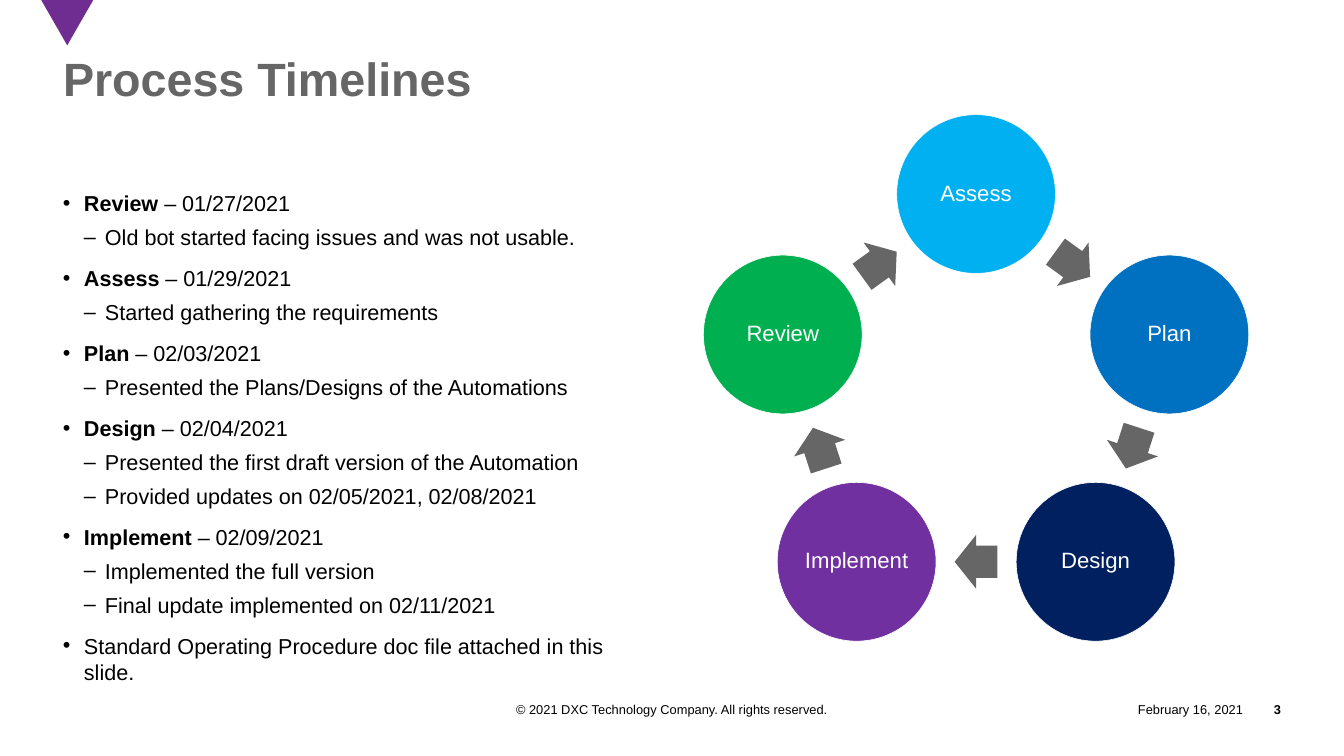
from math import cos, radians, sin

from lxml.etree import SubElement
from pptx import Presentation
from pptx.dml.color import RGBColor
from pptx.enum.shapes import MSO_SHAPE
from pptx.enum.text import MSO_ANCHOR, PP_ALIGN
from pptx.oxml.ns import qn
from pptx.util import Inches, Pt

FONT = "Arial"
CENTER_X, CENTER_Y, RADIUS = 11.62, 4.73, 2.42
CIRCLE, ARROW_W, ARROW_H = 1.89, 0.51, 0.64

STAGES = [
    ("Assess", "00B0F0"),
    ("Plan", "0070C0"),
    ("Design", "002060"),
    ("Implement", "7030A0"),
    ("Review", "00B050"),
]

TIMELINE = [
    ("Review", " – 01/27/2021", ["Old bot started facing issues and was not usable."]),
    ("Assess", " – 01/29/2021", ["Started gathering the requirements"]),
    ("Plan", " – 02/03/2021", ["Presented the Plans/Designs of the Automations"]),
    ("Design", " – 02/04/2021", ["Presented the first draft version of the Automation",
                                 "Provided updates on 02/05/2021, 02/08/2021"]),
    ("Implement", " – 02/09/2021", ["Implemented the full version",
                                    "Final update implemented on 02/11/2021"]),
    ("", "Standard Operating Procedure doc file attached in this slide.", []),
]

FOOTERS = [
    ((13.01, 8.29, 1.79, 0.3), "February 16, 2021", PP_ALIGN.RIGHT, False),
    ((14.8, 8.29, 0.45, 0.3), "3", PP_ALIGN.RIGHT, True),
    ((5.25, 8.29, 5.5, 0.3), "© 2021 DXC Technology Company. All rights reserved.",
     PP_ALIGN.CENTER, False),
]


def rgb(color):
    """Turn a hex string into a colour."""
    return RGBColor.from_string(color)


def set_attrs(obj, values):
    """Set each named attribute on an object."""
    for name, value in values.items():
        setattr(obj, name, value)


def format_frame(tf, anchor=MSO_ANCHOR.TOP, inset=0):
    """Set wrapping, anchor and equal insets of a text frame."""
    sides = ("left", "top", "right", "bottom")
    set_attrs(tf, {"word_wrap": True, "vertical_anchor": anchor}
              | {f"margin_{side}": Inches(inset) for side in sides})


def add_run(p, text, size, color="000000", bold=False):
    """Append a formatted run to a paragraph."""
    r = p.add_run()
    r.text = text
    set_attrs(r.font, {"name": FONT, "size": Pt(size), "bold": bold})
    r.font.color.rgb = rgb(color)


def paint(sp, fill, line=None):
    """Give a shape a flat fill and an optional thin outline."""
    sp.shadow.inherit = False
    sp.fill.solid()
    sp.fill.fore_color.rgb = rgb(fill)
    if line:
        sp.line.color.rgb = rgb(line)
        sp.line.width = Pt(0.5)
    else:
        sp.line.fill.background()


def add_box(s, box, anchor=MSO_ANCHOR.TOP):
    """Add an empty text box and return its text frame."""
    tf = s.shapes.add_textbox(*map(Inches, box)).text_frame
    format_frame(tf, anchor)
    return tf


def add_centered(s, kind, x, y, w, h):
    """Add a preset shape around a centre point."""
    return s.shapes.add_shape(kind, *map(Inches, (x - w / 2, y - h / 2, w, h)))


def add_bullet(tf, level, char, runs):
    """Append a bulleted paragraph, using the empty first one if present."""
    first = not tf.paragraphs[0].runs
    p = tf.paragraphs[0] if first else tf.add_paragraph()
    p.level = level
    pPr = p._p.get_or_add_pPr()
    pPr.set("marL", str(Inches(0.25 * level)))
    pPr.set("indent", str(Inches(-0.25)))
    SubElement(pPr, qn("a:buFont"), typeface=FONT)
    SubElement(pPr, qn("a:buChar"), char=char)
    space = 0 if first else 12 / level
    set_attrs(p, {"space_before": Pt(space), "line_spacing": 1.04})
    for text, bold in runs:
        add_run(p, text, 18.5, bold=bold)


def add_title(s, text):
    """Move and format the title placeholder."""
    title = s.shapes.title
    box = map(Inches, (0.75, 0.7, 14.5, 1.55))
    set_attrs(title, dict(zip(("left", "top", "width", "height"), box)))
    format_frame(title.text_frame)
    p = title.text_frame.paragraphs[0]
    set_attrs(p, {"alignment": PP_ALIGN.LEFT, "line_spacing": 0.85})
    add_run(p, text, 40, "666666", True)


def add_marker(s):
    """Add the triangle on the top edge."""
    left, middle, right, tip = map(Inches, (0.49, 0.8, 1.11, 0.54))
    builder = s.shapes.build_freeform(left, 0)
    builder.add_line_segments([(middle, tip), (right, 0)], close=True)
    paint(builder.convert_to_shape(), "6F2C91")


def add_timeline(s):
    """Add the dated steps with their details."""
    tf = add_box(s, (0.75, 2.25, 7, 5.6))
    for stage, rest, details in TIMELINE:
        runs = [(stage, True), (rest, False)]
        add_bullet(tf, 1, "•", [run for run in runs if run[0]])
        for detail in details:
            add_bullet(tf, 2, "–", [(detail, False)])


def ring_point(angle, radius):
    """Return the point at a clockwise angle from the top of the cycle."""
    a = radians(angle)
    return CENTER_X + radius * sin(a), CENTER_Y - radius * cos(a)


def add_cycle(s):
    """Add the ring of stages with an arrow after each one."""
    step = 360 / len(STAGES)
    for i, (name, color) in enumerate(STAGES):
        x, y = ring_point(i * step, RADIUS)
        sp = add_centered(s, MSO_SHAPE.OVAL, x, y, CIRCLE, CIRCLE)
        paint(sp, color, "FFFFFF")
        format_frame(sp.text_frame, MSO_ANCHOR.MIDDLE, 0.03)
        p = sp.text_frame.paragraphs[0]
        set_attrs(p, {"alignment": PP_ALIGN.CENTER, "line_spacing": 0.9})
        add_run(p, name, 19, "FFFFFF")

        half_turn = (i + 0.5) * step
        x, y = ring_point(half_turn, RADIUS * cos(radians(step / 2)))
        arrow = add_centered(s, MSO_SHAPE.RIGHT_ARROW, x, y, ARROW_W, ARROW_H)
        arrow.rotation = half_turn
        arrow.adjustments[0], arrow.adjustments[1] = 0.6, 0.5
        paint(arrow, "666666")


def add_footers(s):
    """Add the date, slide number and copyright line."""
    for box, text, align, bold in FOOTERS:
        p = add_box(s, box, MSO_ANCHOR.MIDDLE).paragraphs[0]
        p.alignment = align
        add_run(p, text, 11, bold=bold)


def main():
    """Build and save the slide."""
    prs = Presentation()
    set_attrs(prs, {"slide_width": Inches(16), "slide_height": Inches(9)})
    s = prs.slides.add_slide(prs.slide_layouts[5])
    add_title(s, "Process Timelines")
    add_marker(s)
    add_footers(s)
    add_timeline(s)
    add_cycle(s)
    prs.save("out.pptx")


if __name__ == "__main__":
    main()
